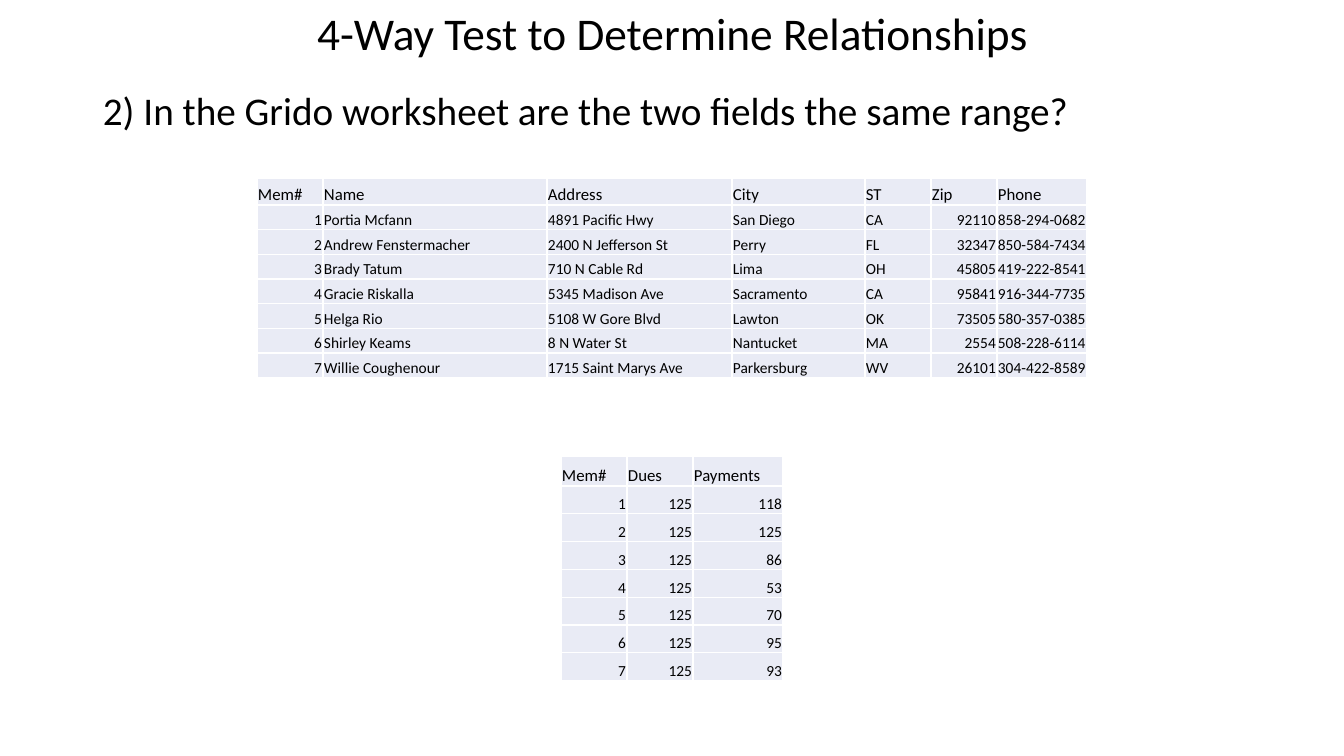
"""Build the slide on testing relationships between two worksheet tables."""
import pptx
import pptx.util
import pptx.dml.color
import pptx.enum.text
import lxml.etree

BLACK = pptx.dml.color.RGBColor(0x00, 0x00, 0x00)
WHITE = pptx.dml.color.RGBColor(0xFF, 0xFF, 0xFF)
PALE = pptx.dml.color.RGBColor(0xE9, 0xEB, 0xF5)
LEFT = pptx.enum.text.PP_ALIGN.LEFT
CENTER = pptx.enum.text.PP_ALIGN.CENTER
RIGHT = pptx.enum.text.PP_ALIGN.RIGHT
TOP = pptx.enum.text.MSO_ANCHOR.TOP
MIDDLE = pptx.enum.text.MSO_ANCHOR.MIDDLE
BOTTOM = pptx.enum.text.MSO_ANCHOR.BOTTOM
NS = "http://schemas.openxmlformats.org/drawingml/2006/main"


def px(count):
    return pptx.util.Emu(round(count * 914400 / 100.8))


def style(par, size, align):
    par.alignment = align
    for run in par.runs:
        run.font.name = "Calibri"
        run.font.size = pptx.util.Pt(size)
        run.font.color.rgb = BLACK


deck = pptx.Presentation()
deck.slide_width, deck.slide_height = px(1344), px(756)
slide = deck.slides.add_slide(deck.slide_layouts[6])

texts = [
    ("4-Way Test to Determine Relationships",
     (93, 13, 1159, 46), 32.4, CENTER, MIDDLE, 0),
    ("2) In the Grido worksheet are the two fields the same range?",
     (93, 87, 1159, 595), 28, LEFT, TOP, 10),
]
for words, place, size, align, anchor, space in texts:
    frame = slide.shapes.add_textbox(*map(px, place)).text_frame
    frame.word_wrap = True
    frame.vertical_anchor = anchor
    par = frame.paragraphs[0]
    par.text = words
    par.line_spacing = 0.9
    par.space_before = pptx.util.Pt(space)
    style(par, size, align)

members = [
    ("Mem#", "Name", "Address", "City", "ST", "Zip", "Phone"),
    ("1", "Portia Mcfann", "4891 Pacific Hwy", "San Diego", "CA", "92110", "858-294-0682"),
    ("2", "Andrew Fenstermacher", "2400 N Jefferson St", "Perry", "FL", "32347", "850-584-7434"),
    ("3", "Brady Tatum", "710 N Cable Rd", "Lima", "OH", "45805", "419-222-8541"),
    ("4", "Gracie Riskalla", "5345 Madison Ave", "Sacramento", "CA", "95841", "916-344-7735"),
    ("5", "Helga Rio", "5108 W Gore Blvd", "Lawton", "OK", "73505", "580-357-0385"),
    ("6", "Shirley Keams", "8 N Water St", "Nantucket", "MA", "2554", "508-228-6114"),
    ("7", "Willie Coughenour", "1715 Saint Marys Ave", "Parkersburg", "WV", "26101", "304-422-8589"),
]
paid = [118, 125, 86, 53, 70, 95, 93]
dues = [("Mem#", "Dues", "Payments")]
dues += [(str(num), "125", str(amount)) for num, amount in enumerate(paid, 1)]

tables = [
    (members, 257, 178, 200, 27, (66, 224, 185, 133, 66, 66, 90)),
    (dues, 561, 456, 225, 30, (66, 66, 90)),
]
for rows, left, top, height, head, widths in tables:
    table = slide.shapes.add_table(
        len(rows), len(widths), px(left), px(top), px(sum(widths)), px(height)).table
    table.first_row = False
    table.horz_banding = False
    for col, width in zip(table.columns, widths):
        col.width = px(width)
    for index, row in enumerate(rows):
        table.rows[index].height = px((height - head) / (len(rows) - 1) if index else head)
        for place, words in enumerate(row):
            cell = table.cell(index, place)
            cell.margin_left = cell.margin_right = cell.margin_top = px(1)
            cell.margin_bottom = 0
            cell.vertical_anchor = BOTTOM
            par = cell.text_frame.paragraphs[0]
            par.text = words
            style(par, 11 if index else 12, RIGHT if words.isdigit() else LEFT)
            props = cell._tc.get_or_add_tcPr()
            for side in ("lnL", "lnR", "lnT", "lnB"):
                line = lxml.etree.SubElement(props, f"{{{NS}}}{side}", w=str(pptx.util.Pt(1)))
                fill = lxml.etree.SubElement(line, f"{{{NS}}}solidFill")
                lxml.etree.SubElement(fill, f"{{{NS}}}srgbClr", val=str(WHITE))
            cell.fill.solid()
            cell.fill.fore_color.rgb = PALE

deck.save("out.pptx")
